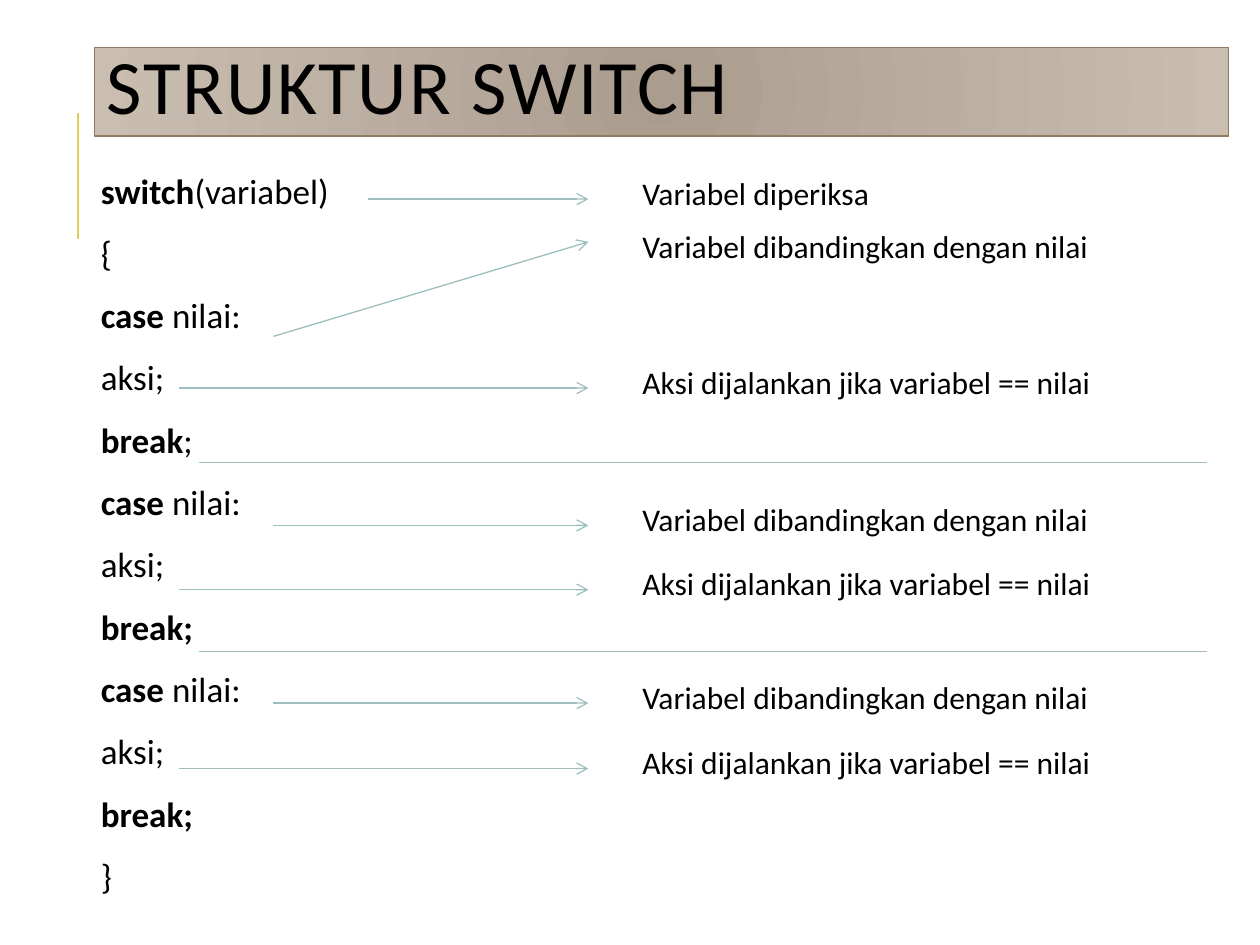
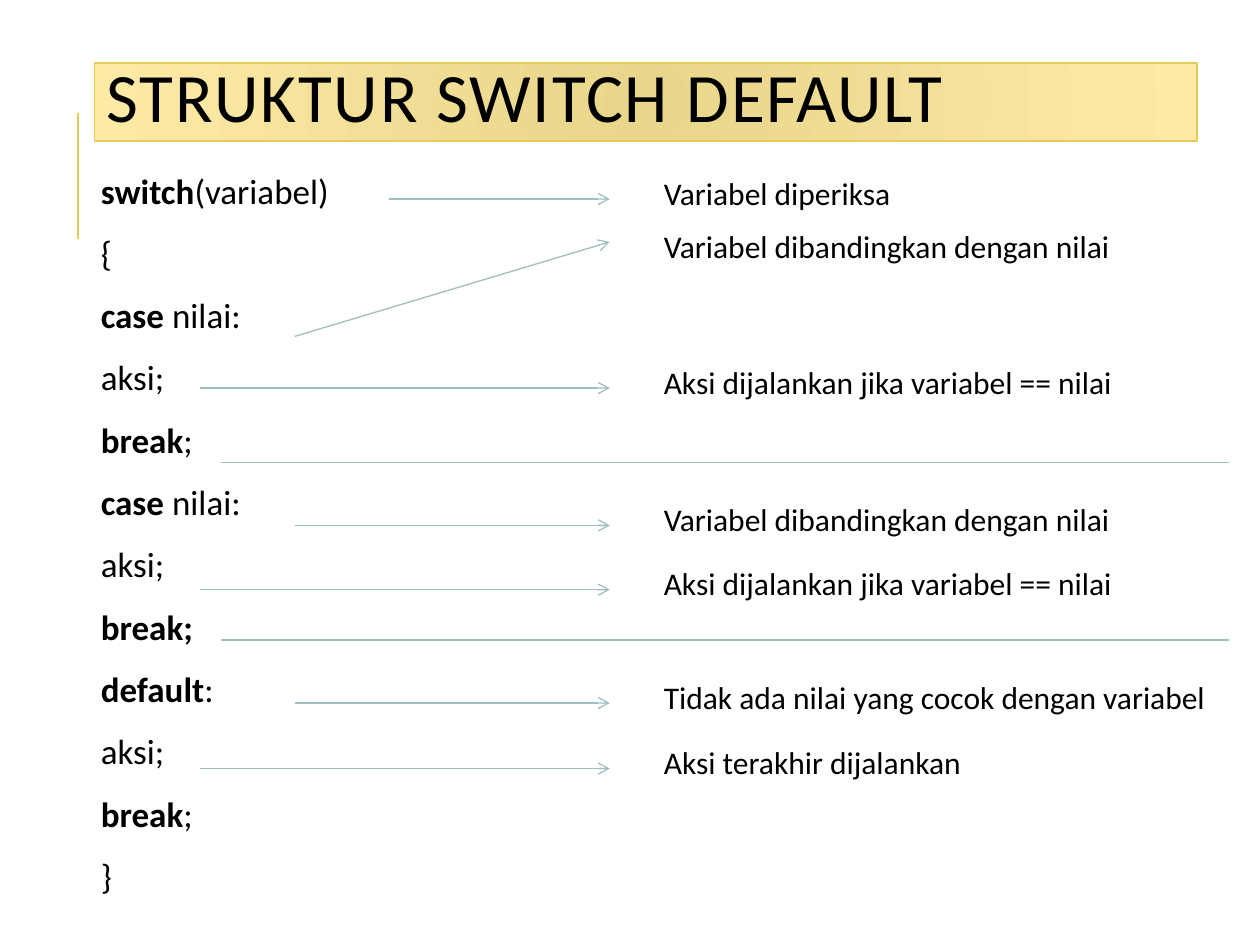
from dataclasses import dataclass

from lxml import etree
from pptx import Presentation
from pptx.dml.color import RGBColor
from pptx.enum.shapes import MSO_CONNECTOR, MSO_SHAPE
from pptx.enum.text import MSO_ANCHOR, MSO_AUTO_SIZE, PP_ALIGN
from pptx.oxml.ns import qn
from pptx.util import Inches, Pt

STRAIGHT = MSO_CONNECTOR.STRAIGHT
RECTANGLE = MSO_SHAPE.RECTANGLE
TOP, MIDDLE = MSO_ANCHOR.TOP, MSO_ANCHOR.MIDDLE
GROW = MSO_AUTO_SIZE.SHAPE_TO_FIT_TEXT
LEFT = PP_ALIGN.LEFT


@dataclass(frozen=True)
class Theme:
    font: str = "Calibri"
    text: str = "000000"
    accent: str = "E3CC5A"
    arrow: str = "9DBFBE"
    brown_band: tuple = ("AB9D8E", "CABEB1", "927C61")
    yellow_band: tuple = ("E8D68B", "FDEAA5", "E3CC5A")
    code_size: float = 20
    note_size: float = 18
    thin: float = 0.75
    thick: float = 1.5


THEME = Theme()

CHECKED = "Variabel diperiksa"
COMPARED = "Variabel dibandingkan dengan nilai"
EXECUTED = "Aksi dijalankan jika variabel == nilai"
UNMATCHED = "Tidak ada nilai yang cocok dengan variabel"
LAST_ACTION = "Aksi terakhir dijalankan"
NOTE_WIDTHS = {CHECKED: 2.02, COMPARED: 3.78, EXECUTED: 3.8,
               UNMATCHED: 4.55, LAST_ACTION: 2.58}

SWITCH_START, CASE_START, ACTION_START, DIVIDER_START = 2.92, 2.17, 1.42, 1.58
ARROW_END, NOTE_LEFT, DIVIDER_LENGTH = 4.67, 5, 8
NOTE_RISE = 0.25
ARROWS = [
    (SWITCH_START, 1.58, 1.58),
    (CASE_START, 2.67, 1.92),
    (ACTION_START, 3.08, 3.08),
    (CASE_START, 4.17, 4.17),
    (ACTION_START, 4.68, 4.68),
    (CASE_START, 5.58, 5.58),
    (ACTION_START, 6.1, 6.1),
]
SLANTED_NOTE_RISE = 0.17

CASE = ("case ", "nilai:")
ACTION = ("", "aksi;")
BREAK = ("break", ";")
BOLD_BREAK = ("break;", "")
OPENING = [("switch", "(variabel)"), ("", "{"), CASE, ACTION, BREAK,
           CASE, ACTION, BOLD_BREAK]
CLOSING = ("", "}")
FIRST_NOTES = [CHECKED, COMPARED, EXECUTED, COMPARED, EXECUTED]


class Deck:
    def __init__(self, theme):
        self.theme = theme
        self.presentation = Presentation()
        self.presentation.slide_width = Inches(10)
        self.presentation.slide_height = Inches(7.5)
        self.slide = None

    def new_slide(self):
        blank = self.presentation.slide_layouts[6]
        self.slide = self.presentation.slides.add_slide(blank)
        self.line((0.62, 1.9), (0.62, 0.9), self.theme.accent, self.theme.thick)

    def line(self, start, end, color=None, width=None, arrow=False):
        connector = self.slide.shapes.add_connector(
            STRAIGHT, *(Inches(value) for value in (*start, *end)))
        connector.line.color.rgb = RGBColor.from_string(color or self.theme.arrow)
        connector.line.width = Pt(width or self.theme.thin)
        properties = connector.element.spPr
        if arrow:
            etree.SubElement(properties.find(qn("a:ln")), qn("a:tailEnd"), type="arrow")
        etree.SubElement(properties, qn("a:effectLst"))

    def run(self, paragraph, text, size, bold=False):
        run = paragraph.add_run()
        run.text = text
        run.font.name = self.theme.font
        run.font.size = Pt(size)
        run.font.bold = bold
        run.font.color.rgb = RGBColor.from_string(self.theme.text)
        return run

    def title(self, text, box, size, band):
        inner, outer, border = (RGBColor.from_string(color) for color in band)
        banner = self.slide.shapes.add_shape(RECTANGLE, *(Inches(v) for v in box))
        banner.shadow.inherit = False
        banner.fill.gradient()
        for stop, color in zip(banner.fill.gradient_stops, (inner, outer)):
            stop.color.rgb = color
        gradient = banner.element.spPr.find(qn("a:gradFill"))
        gradient.remove(gradient.find(qn("a:lin")))
        radial = etree.SubElement(gradient, qn("a:path"), path="circle")
        etree.SubElement(radial, qn("a:fillToRect"),
                         {side: "100000" for side in "ltrb"})
        banner.line.color.rgb = border
        banner.line.width = Pt(self.theme.thin)
        frame = banner.text_frame
        frame.word_wrap = True
        frame.vertical_anchor = MIDDLE
        paragraph = frame.paragraphs[0]
        paragraph.alignment = LEFT
        paragraph.line_spacing = 0.8
        heading = self.run(paragraph, text, size)
        heading.font._element.set("spc", "100")

    def text_box(self, left, top, width, height):
        box = self.slide.shapes.add_textbox(
            Inches(left), Inches(top), Inches(width), Inches(height))
        return box.text_frame

    def code(self, lines):
        frame = self.text_box(0.75, 1.33, 9, 5.92)
        frame.word_wrap = True
        frame.vertical_anchor = TOP
        frame.margin_left = frame.margin_right = Inches(0.05)
        frame.margin_top = frame.margin_bottom = Inches(0.05)
        for index, (keyword, rest) in enumerate(lines):
            paragraph = frame.add_paragraph() if index else frame.paragraphs[0]
            paragraph.line_spacing = 0.9
            paragraph.space_before = Pt(12)
            paragraph.space_after = Pt(2)
            for text, bold in ((keyword, True), (rest, False)):
                if text:
                    self.run(paragraph, text, self.theme.code_size, bold)

    def note(self, text, left, top):
        frame = self.text_box(left, top, NOTE_WIDTHS[text], 0.4)
        frame.word_wrap = False
        frame.auto_size = GROW
        self.run(frame.paragraphs[0], text, self.theme.note_size)

    def explanations(self, notes, divider_tops, shift):
        for (start, start_y, end_y), text in zip(ARROWS, notes):
            self.line((start + shift, start_y), (ARROW_END + shift, end_y), arrow=True)
            rise = NOTE_RISE if start_y == end_y else SLANTED_NOTE_RISE
            self.note(text, NOTE_LEFT + shift, end_y - rise)
        for top in divider_tops:
            left = DIVIDER_START + shift
            self.line((left, top), (left + DIVIDER_LENGTH, top))


def main():
    deck = Deck(THEME)

    deck.new_slide()
    deck.title("STRUKTUR SWITCH", (0.75, 0.38, 9, 0.7), 44, THEME.brown_band)
    deck.code(OPENING + [CASE, ACTION, BOLD_BREAK, CLOSING])
    deck.explanations(FIRST_NOTES + [COMPARED, EXECUTED], (3.67, 5.17), shift=0)

    deck.new_slide()
    deck.title("STRUKTUR SWITCH DEFAULT", (0.75, 0.5, 8.75, 0.62), 39.6,
               THEME.yellow_band)
    deck.code(OPENING + [("default", ":"), ACTION, BREAK, CLOSING])
    deck.explanations(FIRST_NOTES + [UNMATCHED, LAST_ACTION], (3.67, 5.08), shift=0.17)

    deck.presentation.save("out.pptx")


if __name__ == "__main__":
    main()
